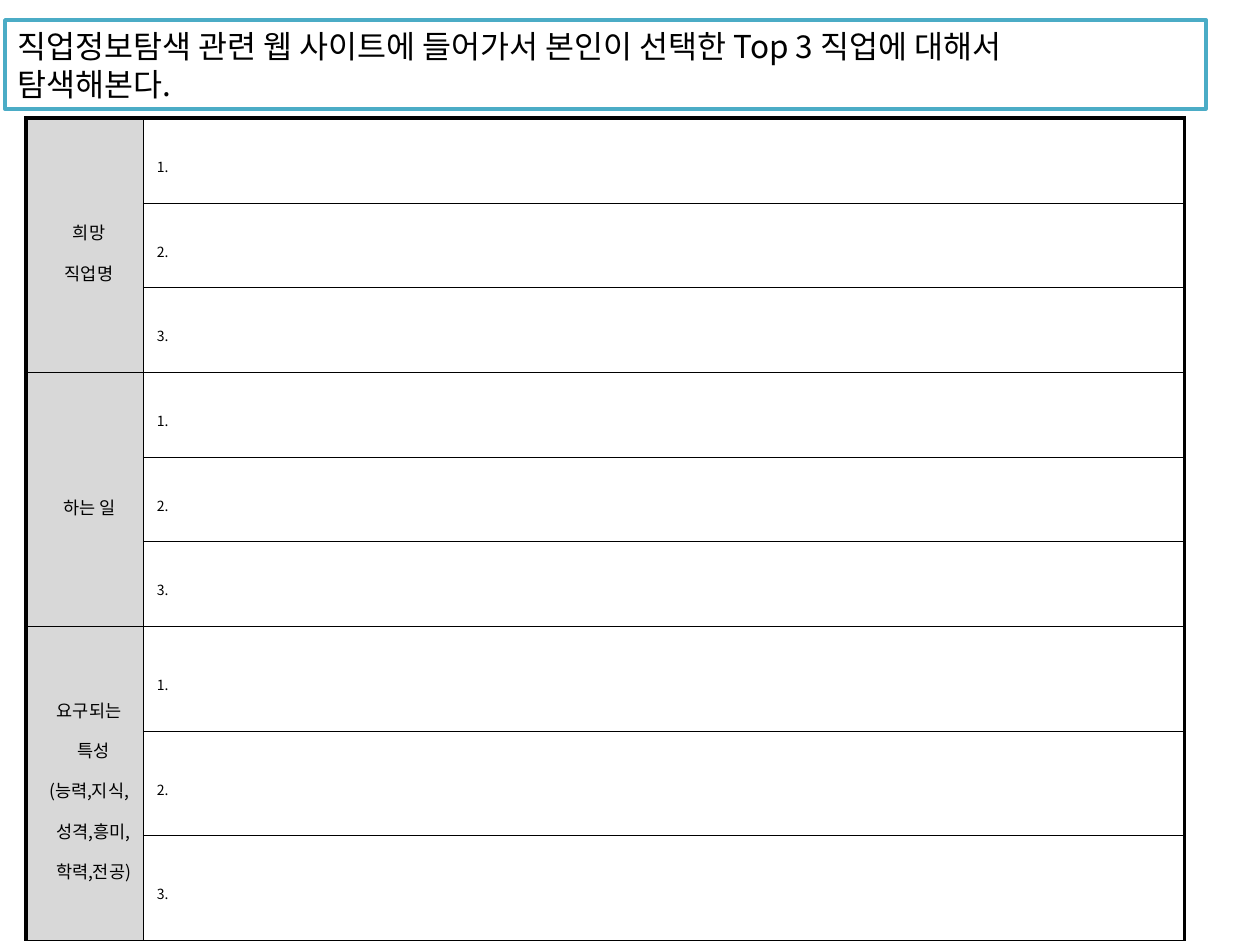
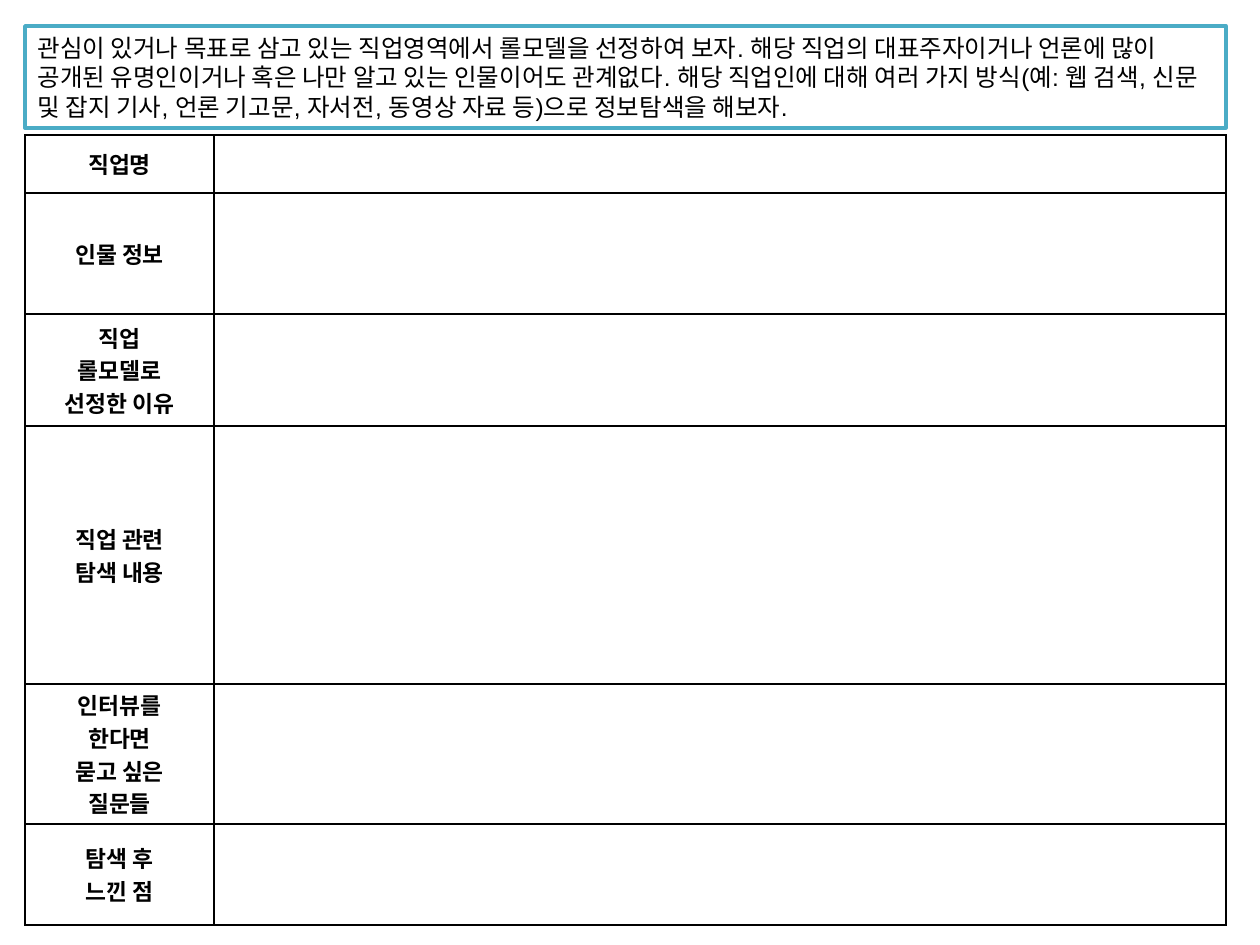
"""Build two career-exploration worksheets, each an instruction box above a table."""
from lxml import etree
from pptx import Presentation
from pptx import util as u
from pptx.dml.color import RGBColor
from pptx.enum import text
from pptx.oxml.ns import qn

PX = 914400 // 126
KOREAN = "Noto Sans CJK KR"
COLORS = {"ink": "000000", "paper": "FFFFFF", "label": "D8D8D8", "frame": "4BACC6"}
ALIGN = text.PP_ALIGN
THIN, NORMAL, THICK = 0.28, 1, 2


def write(frame, lines, size, align, spacing=None, bold=False, latin=KOREAN, hanging=False):
    """Fill a text frame with one formatted paragraph per line."""
    frame.text = "\n".join(lines)
    for para in frame.paragraphs:
        para.alignment = align
        para.line_spacing = spacing
        para.font.size = u.Pt(size)
        para.font.bold = bold
        para.font.color.rgb = RGBColor.from_string(COLORS["ink"])
        para.font.name = latin
        properties = para._p.get_or_add_pPr()
        etree.SubElement(properties.find(qn("a:defRPr")), qn("a:ea"), typeface=KOREAN)
        if hanging:
            properties.set("marL", str(18 * PX))
            properties.set("indent", str(-9 * PX))


def draw_borders(cell, left, right, top, bottom):
    """Give a cell its four border widths in points."""
    properties = cell._tc.get_or_add_tcPr()
    sides = {"a:lnL": left, "a:lnR": right, "a:lnT": top, "a:lnB": bottom}
    for position, (side, width) in enumerate(sides.items()):
        line = etree.Element(qn(side), w=str(int(u.Pt(width))))
        fill = etree.SubElement(line, qn("a:solidFill"))
        etree.SubElement(fill, qn("a:srgbClr"), val=COLORS["ink"])
        properties.insert(position, line)


deck = Presentation()
deck.slide_width, deck.slide_height = 1260 * PX, 945 * PX

instructions = [
    (5, 20, 89, 18, 22, KOREAN, [
        "직업정보탐색 관련 웹 사이트에 들어가서 본인이 선택한 Top 3 직업에 대해서",
        "탐색해본다."]),
    (25, 26, 102, 14, 17, "Arial", [
        "관심이 있거나 목표로 삼고 있는 직업영역에서 롤모델을 선정하여 보자. "
        "해당 직업의 대표주자이거나 언론에 많이 공개된 유명인이거나 혹은 나만 알고 있는 "
        "인물이어도 관계없다. 해당 직업인에 대해 여러 가지 방식(예: 웹 검색, "
        "신문 및 잡지 기사, 언론 기고문, 자서전, 동영상 자료 등)으로 정보탐색을 해보자."]),
]
tables = [
    (26, 118, [117, 1042], [85, 84, 85] * 2 + [105, 104, 105]),
    (25, 135, [189, 1012], [58, 121, 112, 258, 140, 101]),
]
grids = []
for instruction, layout in zip(instructions, tables):
    left, top, height, size, leading, latin, lines = instruction
    page = deck.slides.add_slide(deck.slide_layouts[5])
    box = page.shapes.title
    box.left, box.top, box.width, box.height = left * PX, top * PX, 1201 * PX, height * PX
    box.fill.solid()
    box.fill.fore_color.rgb = RGBColor.from_string(COLORS["paper"])
    box.line.color.rgb = RGBColor.from_string(COLORS["frame"])
    box.line.width = u.Pt(2)
    box.text_frame.word_wrap = True
    box.text_frame.auto_size = text.MSO_AUTO_SIZE.NONE
    box.text_frame.vertical_anchor = text.MSO_ANCHOR.TOP
    write(box.text_frame, lines, size, ALIGN.LEFT, u.Pt(leading), latin=latin)

    left, top, widths, heights = layout
    grid = page.shapes.add_table(len(heights), len(widths), left * PX, top * PX,
                                 sum(widths) * PX, sum(heights) * PX).table
    grid.first_row = grid.horz_banding = False
    for column, width in zip(grid.columns, widths):
        column.width = width * PX
    for row, height in zip(grid.rows, heights):
        row.height = height * PX
    for cell in grid.iter_cells():
        cell.fill.background()
        cell.vertical_anchor = text.MSO_ANCHOR.MIDDLE
        cell.margin_top = cell.margin_bottom = 4 * PX
    grids.append(grid)

job_grid, model_grid = grids

job_topics = [["희망", "직업명"], ["하는 일"],
              ["요구되는 특성", "(능력,지식,성격,흥미,학력,전공)"]]
for index in range(len(job_grid.rows)):
    label, answer = job_grid.cell(index, 0), job_grid.cell(index, 1)
    ceiling = THICK if index == 0 else THIN
    label.fill.solid()
    label.fill.fore_color.rgb = RGBColor.from_string(COLORS["label"])
    draw_borders(label, THICK, THIN, ceiling, THIN)
    draw_borders(answer, THIN, THICK, ceiling, THIN)
    for cell in (label, answer):
        cell.margin_left = cell.margin_right = 5 * PX
        cell.margin_top = cell.margin_bottom = 1 * PX
    write(answer.text_frame, [f"{index % 3 + 1}."], 8, ALIGN.JUSTIFY, 1.6, hanging=True)
for index, topic in enumerate(job_topics):
    label = job_grid.cell(index * 3, 0)
    label.merge(job_grid.cell(index * 3 + 2, 0))
    write(label.text_frame, topic, 10, ALIGN.CENTER, 1.6, hanging=True)

model_topics = [["직업명"], ["인물 정보"], ["직업", "롤모델로", "선정한 이유"],
                ["직업 관련", "탐색 내용"],
                ["인터뷰를", "한다면", "묻고 싶은", "질문들"], ["탐색 후", "느낀 점"]]
for index, topic in enumerate(model_topics):
    write(model_grid.cell(index, 0).text_frame, topic, 13, ALIGN.CENTER, bold=True)
for cell in model_grid.iter_cells():
    draw_borders(cell, NORMAL, NORMAL, NORMAL, NORMAL)

deck.save("out.pptx")
